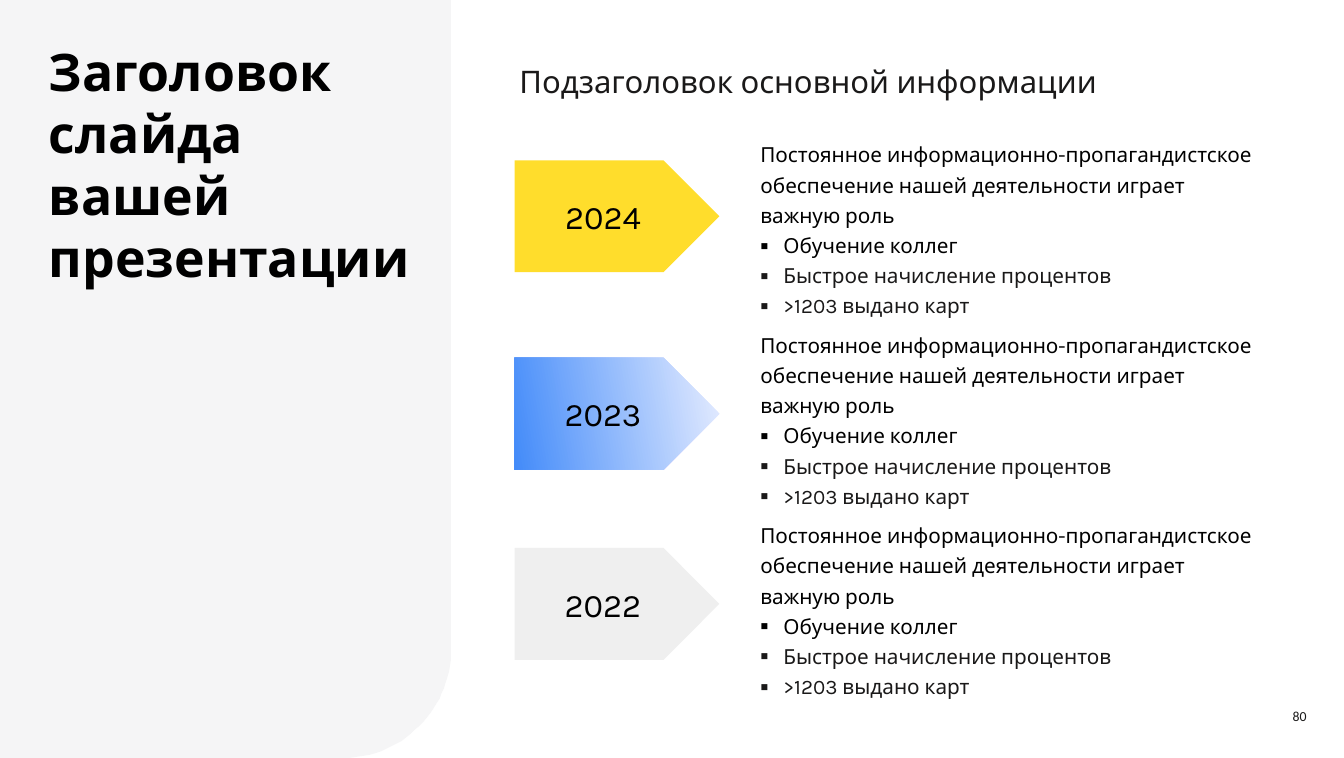
import math
from dataclasses import dataclass

import pptx
import pptx.dml.color
import pptx.enum.shapes
import pptx.enum.text
import pptx.util
from lxml import etree

Pt = pptx.util.Pt
Align = pptx.enum.text.PP_ALIGN
Anchor = pptx.enum.text.MSO_ANCHOR

SLIDE_WIDTH = 1559.05
SLIDE_HEIGHT = 878.75
BLACK = "000000"
DARK = "1A1919"
SUMMARY = ("Постоянное информационно-пропагандистское обеспечение "
           "нашей деятельности играет важную роль")
RESULTS = [
    ("Обучение коллег", BLACK),
    ("Быстрое начисление процентов", DARK),
    (">1203 выдано карт", DARK),
]


@dataclass
class Year:
    label: str
    arrow_top: float
    colors: tuple[str, ...]


YEARS = [
    Year("2024", 186, ("FFDD2C",)),
    Year("2023", 414.8, ("E5ECFF", "438BF9")),
    Year("2022", 635.3, ("EFEFEF",)),
]
DETAILS_TOP = 155.1
DETAILS_PITCH = 220.7


def rgb(color: str) -> pptx.dml.color.RGBColor:
    return pptx.dml.color.RGBColor.from_string(color)


def style(paragraph, size: float, color: str, font: str = "Karla", bold: bool = False) -> None:
    paragraph.font.name = font
    paragraph.font.size = Pt(size)
    paragraph.font.bold = bold
    paragraph.font.color.rgb = rgb(color)


def set_up_frame(frame, inset: float, anchor=Anchor.TOP) -> None:
    frame.word_wrap = True
    frame.vertical_anchor = anchor
    frame.margin_left = frame.margin_right = Pt(inset)
    frame.margin_top = frame.margin_bottom = Pt(inset)


def add_text_frame(slide, left: float, top: float, width: float, height: float,
                   inset: float = 3.6, anchor=Anchor.TOP):
    frame = slide.shapes.add_textbox(Pt(left), Pt(top), Pt(width), Pt(height)).text_frame
    set_up_frame(frame, inset, anchor)
    return frame


def add_side_panel(slide) -> None:
    """Draw the grey panel with its rounded lower right corner."""
    left, top, right, bottom, radius = -1.4, -1.4, 523.4, 879, 127
    corner = [
        (right - radius + radius * math.cos(math.radians(angle)),
         bottom - radius + radius * math.sin(math.radians(angle)))
        for angle in range(0, 91, 3)
    ]
    builder = slide.shapes.build_freeform(left, top, scale=Pt(1))
    builder.add_line_segments([(right, top), *corner, (left, bottom)], close=True)
    panel = builder.convert_to_shape()
    panel.shadow.inherit = False
    panel.fill.solid()
    panel.fill.fore_color.rgb = rgb("F5F5F6")
    panel.line.fill.background()


def add_year_arrow(slide, year: Year) -> None:
    arrow = slide.shapes.add_shape(pptx.enum.shapes.MSO_SHAPE.PENTAGON,
                                   Pt(596.9), Pt(year.arrow_top), Pt(237.6), Pt(129.6))
    arrow.shadow.inherit = False
    arrow.line.fill.background()
    if len(year.colors) == 1:
        arrow.fill.solid()
        arrow.fill.fore_color.rgb = rgb(year.colors[0])
    else:
        arrow.fill.gradient()
        arrow.fill.gradient_angle = 190
        for stop, color in zip(arrow.fill.gradient_stops, year.colors):
            stop.color.rgb = rgb(color)
    set_up_frame(arrow.text_frame, 3.6, Anchor.MIDDLE)
    label = arrow.text_frame.paragraphs[0]
    label.text = year.label
    label.alignment = Align.CENTER
    style(label, 38, BLACK)


def add_bullet(paragraph) -> None:
    properties = paragraph._p.get_or_add_pPr()
    properties.set("marL", str(Pt(28.1)))
    properties.set("indent", str(Pt(-26.6)))
    namespace = etree.QName(properties).namespace
    etree.SubElement(properties, f"{{{namespace}}}buFont", typeface="Karla")
    etree.SubElement(properties, f"{{{namespace}}}buChar", char="▪")


def add_details(slide, top: float) -> None:
    frame = add_text_frame(slide, 877, top, 591.8, 183.6)
    summary = frame.paragraphs[0]
    summary.text = SUMMARY
    summary._p.get_or_add_pPr().set("marL", str(Pt(1.4)))
    summary.line_spacing = Pt(35)
    style(summary, 24, BLACK)
    for text, color in RESULTS:
        result = frame.add_paragraph()
        result.text = text
        add_bullet(result)
        result.line_spacing = Pt(35)
        style(result, 24, color)


def main() -> None:
    presentation = pptx.Presentation()
    presentation.slide_width = Pt(SLIDE_WIDTH)
    presentation.slide_height = Pt(SLIDE_HEIGHT)
    slide = presentation.slides.add_slide(presentation.slide_layouts[6])

    add_side_panel(slide)

    title = add_text_frame(slide, 56.6, 45.6, 425.5, 220.3, inset=0).paragraphs[0]
    title.text = "Заголовок слайда вашей презентации"
    style(title, 60, BLACK, bold=True)

    subtitle = add_text_frame(slide, 599, 69.1, 832.3, 51.1).paragraphs[0]
    subtitle.text = "Подзаголовок основной информации"
    style(subtitle, 36, DARK)

    for row, year in enumerate(YEARS):
        add_year_arrow(slide, year)
        add_details(slide, DETAILS_TOP + row * DETAILS_PITCH)

    page_number = add_text_frame(slide, 1438.6, 812.9, 84.2, 33.8,
                                 inset=7.2, anchor=Anchor.MIDDLE).paragraphs[0]
    page_number.text = "80"
    page_number.alignment = Align.RIGHT
    style(page_number, 16, DARK, font="Calibri")

    presentation.save("out.pptx")


if __name__ == "__main__":
    main()
